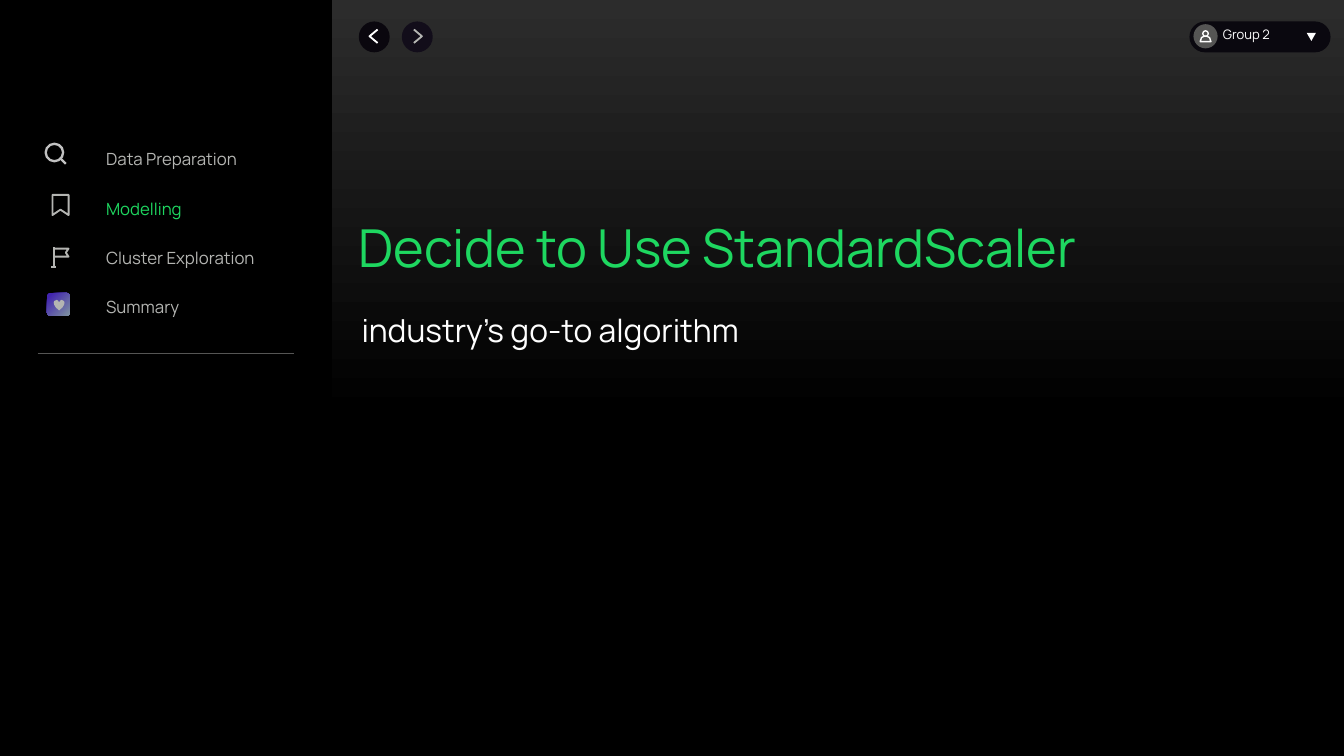
import pptx
import pptx.dml.color
import pptx.enum.shapes
import pptx.enum.text
import pptx.oxml.ns
import pptx.util
from pptx.util import Inches

RGBColor = pptx.dml.color.RGBColor
MSO_SHAPE = pptx.enum.shapes.MSO_SHAPE

FONT = "Manrope"
BLACK = RGBColor(0x00, 0x00, 0x00)
CHARCOAL = RGBColor(0x2C, 0x2C, 0x2C)
GREEN = RGBColor(0x1E, 0xD7, 0x60)
WHITE = RGBColor(0xFF, 0xFF, 0xFF)
LIGHT_GREY = RGBColor(0xB4, 0xB5, 0xB2)
SEARCH_GREY = RGBColor(0xC1, 0xC1, 0xC1)
DARK_GREY = RGBColor(0x55, 0x55, 0x54)
BACK_BUTTON = RGBColor(0x0A, 0x07, 0x0E)
NEXT_BUTTON = RGBColor(0x12, 0x0D, 0x1A)
USER_PILL = RGBColor(0x0A, 0x08, 0x0F)
VIOLET = RGBColor(0x42, 0x24, 0xB0)
STEEL = RGBColor(0x7F, 0x93, 0xA0)

SLIDE_WIDTH = 10
SLIDE_HEIGHT = SLIDE_WIDTH * 9 / 16
MENU = [("Data Preparation", 1.24), ("Modelling", 1.06),
        ("Cluster Exploration", 1.43), ("Summary", 0.94)]
CURRENT = "Modelling"
MENU_TOP, MENU_BOTTOM = 1.07, 2.17
MENU_STEP = (MENU_BOTTOM - MENU_TOP) / (len(MENU) - 1)


def set_gradient(fill, angle, *stops):
    """Fill with two (position, colour) stops; angle is counter-clockwise."""
    fill.gradient()
    fill.gradient_angle = angle
    for stop, (position, color) in zip(fill.gradient_stops, stops):
        stop.position = position
        stop.color.rgb = color


def set_text(holder, text, size, color):
    frame = holder.text_frame
    frame.auto_size = pptx.enum.text.MSO_AUTO_SIZE.NONE
    frame.word_wrap = True
    frame.vertical_anchor = pptx.enum.text.MSO_ANCHOR.TOP
    frame.margin_left = frame.margin_right = Inches(0.07)
    frame.margin_top = frame.margin_bottom = Inches(0.04)
    paragraph = frame.paragraphs[0]
    paragraph.text = text
    paragraph.alignment = pptx.enum.text.PP_ALIGN.LEFT
    paragraph.space_before = pptx.util.Pt(0)
    paragraph.font.name = FONT
    paragraph.font.size = pptx.util.Pt(size)
    paragraph.font.color.rgb = color


def fill_placeholder(placeholder, box, text, size, color):
    placeholder.left, placeholder.top, placeholder.width, placeholder.height = map(Inches, box)
    set_text(placeholder, text, size, color)


def add_label(shapes, box, text, size, color):
    set_text(shapes.add_textbox(*map(Inches, box)), text, size, color)


def add_solid(shapes, kind, box, color):
    shape = shapes.add_shape(kind, *map(Inches, box))
    shape.shadow.inherit = False
    shape.fill.solid()
    shape.fill.fore_color.rgb = color
    shape.line.fill.background()
    return shape


def set_outline(shape, color, width):
    shape.shadow.inherit = False
    shape.fill.background()
    shape.line.color.rgb = color
    shape.line.width = pptx.util.Pt(width)


def add_ring(shapes, box, color, width=1):
    set_outline(shapes.add_shape(MSO_SHAPE.OVAL, *map(Inches, box)), color, width)


def add_stroke(shapes, points, color, width=1, close=False):
    start, *rest = [(Inches(x), Inches(y)) for x, y in points]
    builder = shapes.build_freeform(*start)
    builder.add_line_segments(rest, close=close)
    set_outline(builder.convert_to_shape(), color, width)


def add_line(shapes, start, end, color, width):
    line = shapes.add_connector(pptx.enum.shapes.MSO_CONNECTOR.STRAIGHT,
                                *map(Inches, start + end))
    line.line.color.rgb = color
    line.line.width = pptx.util.Pt(width)
    properties = line._element.spPr
    properties.append(properties.makeelement(pptx.oxml.ns.qn("a:effectLst"), {}))


def add_menu_icons(shapes):
    # Magnifier
    add_ring(shapes, (0.34, 1.07, 0.13, 0.13), SEARCH_GREY, 1.25)
    add_line(shapes, (0.45, 1.18), (0.49, 1.22), SEARCH_GREY, 1.25)
    # Bookmark
    add_stroke(shapes, [(0.39, 1.45), (0.51, 1.45), (0.51, 1.6), (0.45, 1.56), (0.39, 1.6)],
               LIGHT_GREY, close=True)
    # Flag: pole, foot, cloth
    add_stroke(shapes, [(0.4, 1.84), (0.4, 1.99)], LIGHT_GREY)
    add_stroke(shapes, [(0.38, 1.99), (0.42, 1.99)], LIGHT_GREY)
    add_stroke(shapes, [(0.4, 1.85), (0.51, 1.85), (0.49, 1.88), (0.51, 1.91), (0.4, 1.91)],
               LIGHT_GREY)
    # Heart on a tile
    tile = add_solid(shapes, MSO_SHAPE.ROUNDED_RECTANGLE, (0.35, 2.18, 0.17, 0.17), VIOLET)
    tile.adjustments[0] = 0.13
    set_gradient(tile.fill, 315, (0.11, VIOLET), (1, STEEL))
    add_solid(shapes, MSO_SHAPE.HEART, (0.4, 2.23, 0.08, 0.08), LIGHT_GREY)


def add_sidebar(shapes):
    add_solid(shapes, MSO_SHAPE.RECTANGLE, (0, 0, 2.47, SLIDE_HEIGHT), BLACK)
    for row, (entry, width) in enumerate(MENU):
        color = GREEN if entry == CURRENT else LIGHT_GREY
        add_label(shapes, (0.72, MENU_TOP + row * MENU_STEP, width, 0.23), entry, 9, color)
    add_menu_icons(shapes)
    add_line(shapes, (0.28, 2.63), (2.19, 2.63), DARK_GREY, 0.75)


def add_nav_button(shapes, left, tip, ends, color, arrow_color):
    """Round button; tip and ends are the chevron's offsets from its left edge."""
    add_solid(shapes, MSO_SHAPE.OVAL, (left, 0.16, 0.23, 0.23), color)
    add_stroke(shapes, [(left + ends, 0.22), (left + tip, 0.27), (left + ends, 0.32)],
               arrow_color)


def add_user_menu(shapes):
    pill = add_solid(shapes, MSO_SHAPE.ROUNDED_RECTANGLE, (8.85, 0.16, 1.05, 0.23), USER_PILL)
    pill.adjustments[0] = 0.5
    add_solid(shapes, MSO_SHAPE.OVAL, (8.88, 0.18, 0.18, 0.18), DARK_GREY)
    add_label(shapes, (9.03, 0.16, 0.7, 0.19), "Group 2", 7, WHITE)
    add_ring(shapes, (8.95, 0.23, 0.04, 0.04), WHITE, 0.75)
    add_stroke(shapes, [(8.93, 0.31), (8.94, 0.28), (8.96, 0.27), (8.98, 0.27), (9, 0.28),
                        (9.01, 0.31)], WHITE, 0.75, close=True)
    arrow = add_solid(shapes, MSO_SHAPE.ISOSCELES_TRIANGLE, (9.73, 0.23, 0.07, 0.06), WHITE)
    arrow.rotation = 60


def main():
    deck = pptx.Presentation()
    deck.slide_width, deck.slide_height = Inches(SLIDE_WIDTH), Inches(SLIDE_HEIGHT)
    slide = deck.slides.add_slide(deck.slide_layouts[0])
    set_gradient(slide.background.fill, 270, (0, CHARCOAL), (0.55, BLACK))

    title, subtitle = slide.placeholders
    fill_placeholder(title, (2.6, 1.56, 7.2, 0.55), "Decide to Use StandardScaler", 28, GREEN)
    fill_placeholder(subtitle, (2.62, 2.27, 3.8, 0.36), "industry’s go-to algorithm", 17, WHITE)

    add_sidebar(slide.shapes.add_group_shape().shapes)
    top_bar = slide.shapes.add_group_shape().shapes
    add_nav_button(top_bar, 2.67, 0.08, 0.14, BACK_BUTTON, WHITE)
    add_nav_button(top_bar, 2.99, 0.15, 0.09, NEXT_BUTTON, LIGHT_GREY)
    add_user_menu(top_bar)

    deck.save("out.pptx")


if __name__ == "__main__":
    main()
